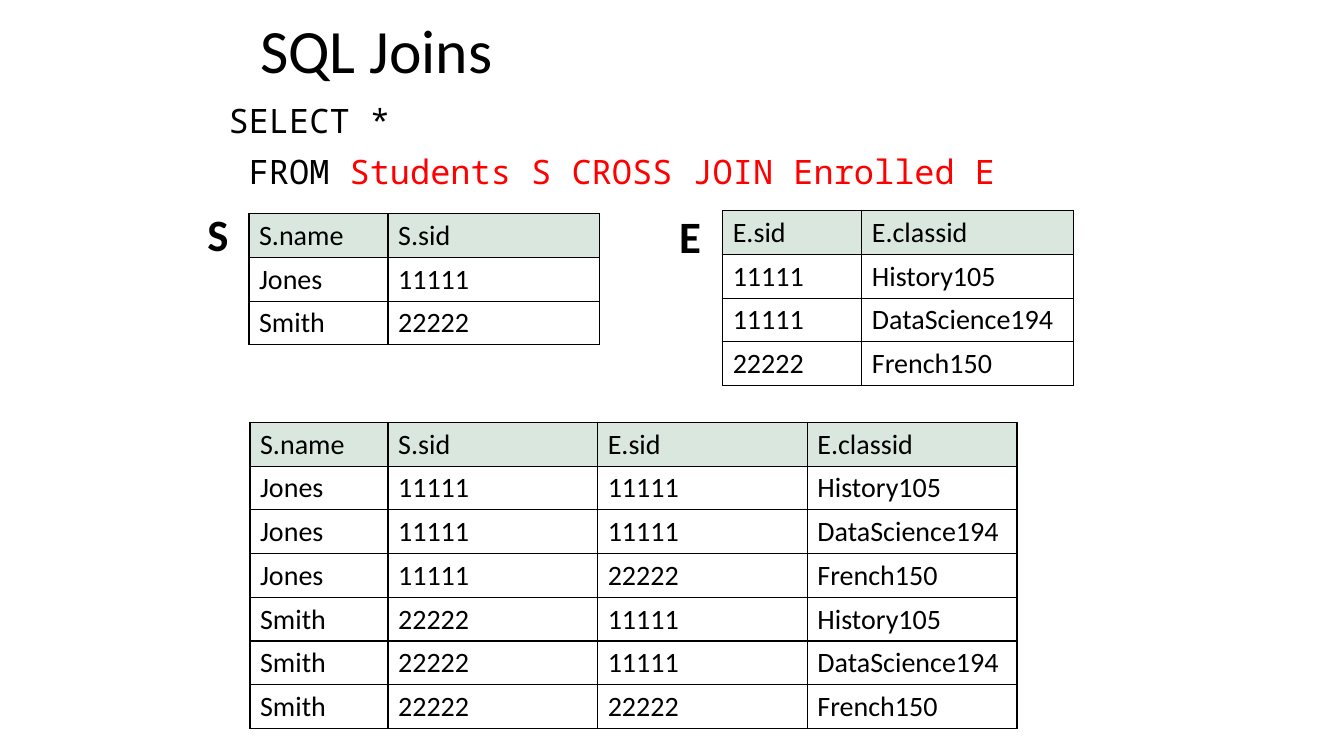
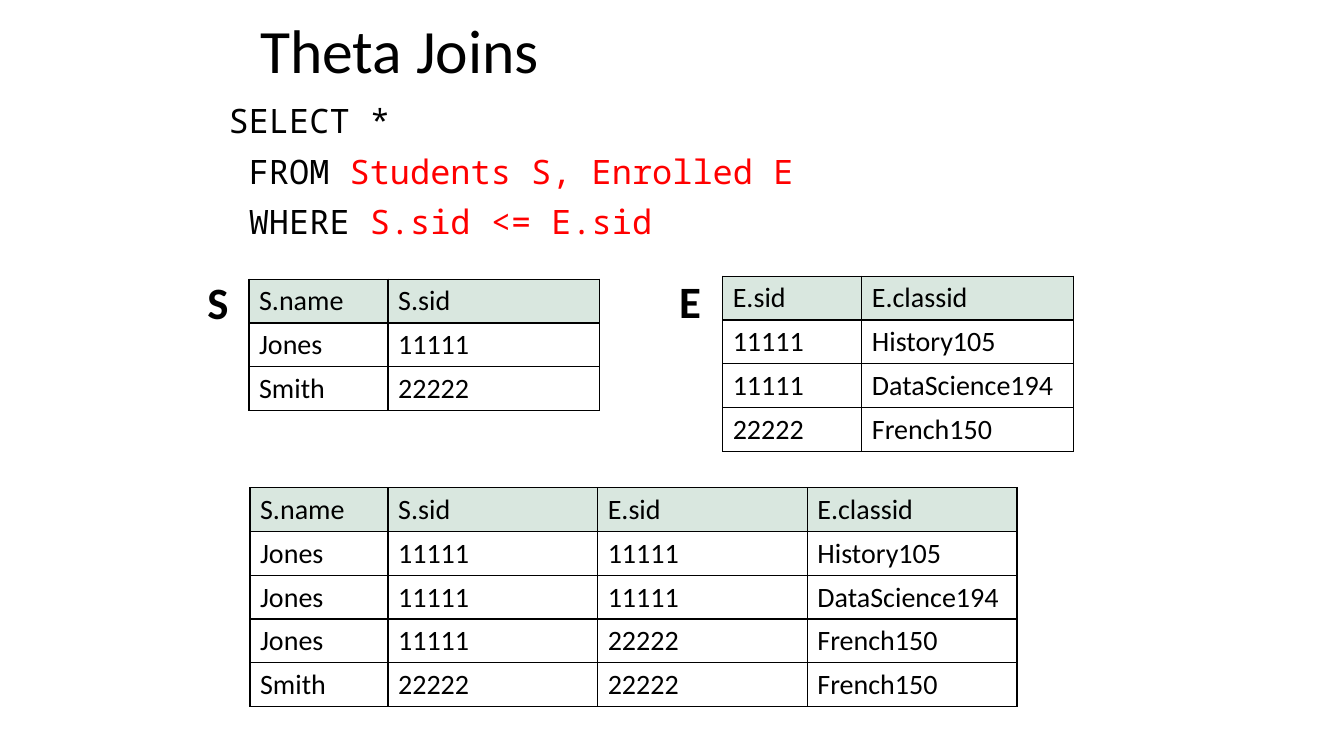
from dataclasses import dataclass
from itertools import product
from typing import Callable

from lxml.etree import SubElement
from pptx import Presentation
from pptx.dml.color import RGBColor
from pptx.enum.text import MSO_ANCHOR, MSO_AUTO_SIZE, PP_ALIGN
from pptx.oxml.ns import qn
from pptx.presentation import Presentation as Deck
from pptx.slide import Slide
from pptx.table import _Cell
from pptx.text.text import TextFrame, _Paragraph
from pptx.util import Inches, Pt

BLACK = RGBColor(0x00, 0x00, 0x00)
RED = RGBColor(0xFF, 0x00, 0x00)
HEADER_GREEN = RGBColor(0xD9, 0xE7, 0xDF)

TEXT_FONT = "Calibri"
CODE_FONT = "Noto Sans Mono"

GRID_COLUMNS = 80
GRID_ROWS = 45
SLIDE_WIDTH = Inches(13.33)
SLIDE_HEIGHT = Inches(7.5)
TABLE_ROW = 2.6
ENROLLED_RISE = 0.18
RESULT_DROP = 12.42
TITLE_ONLY_LAYOUT = 5

Row = tuple[str, ...]


@dataclass(frozen=True)
class Area:
    column: float
    row: float
    columns: float
    rows: float

    def lengths(self) -> tuple[int, int, int, int]:
        return (
            int(SLIDE_WIDTH * self.column / GRID_COLUMNS),
            int(SLIDE_HEIGHT * self.row / GRID_ROWS),
            int(SLIDE_WIDTH * self.columns / GRID_COLUMNS),
            int(SLIDE_HEIGHT * self.rows / GRID_ROWS),
        )


@dataclass(frozen=True)
class Span:
    text: str
    color: RGBColor = BLACK


@dataclass(frozen=True)
class Relation:
    header: Row
    records: tuple[Row, ...]


@dataclass(frozen=True)
class JoinPage:
    title: str
    query: tuple[tuple[Span, ...], ...]
    matches: Callable[[Row, Row], bool]
    tables_row: float
    students_label_row: float
    enrolled_label_row: float


TITLE_AREA = Area(14.88, 0.48, 50.88, 5.46)
QUERY_AREA = Area(13.02, 5.94, 55.14, 37.14)
SOURCE_WIDTHS = (8.28, 12.6)
RESULT_WIDTHS = (8.22, 12.48, 12.48, 12.48)

STUDENTS = Relation(("S.name", "S.sid"), (("Jones", "11111"), ("Smith", "22222")))
ENROLLED = Relation(
    ("E.sid", "E.classid"),
    (("11111", "History105"), ("11111", "DataScience194"), ("22222", "French150")),
)

PAGES = (
    JoinPage(
        "SQL Joins",
        (
            (Span("SELECT *"),),
            (Span(" FROM "), Span("Students S CROSS JOIN Enrolled E", RED)),
        ),
        lambda student, enrolment: True,
        12.72,
        12,
        12.12,
    ),
    JoinPage(
        "Theta Joins",
        (
            (Span("SELECT *"),),
            (Span(" FROM "), Span("Students S, Enrolled E", RED)),
            (Span(" WHERE "), Span("S.sid <= E.sid", RED)),
        ),
        lambda student, enrolment: student[1] <= enrolment[0],
        16.62,
        16.08,
        16.02,
    ),
)


def join(left: Relation, right: Relation, matches: Callable[[Row, Row], bool]) -> Relation:
    pairs = product(left.records, right.records)
    return Relation(
        left.header + right.header,
        tuple(first + second for first, second in pairs if matches(first, second)),
    )


def add_span(para: _Paragraph, span: Span, font: str, size: float, bold: bool = False) -> None:
    run = para.add_run()
    run.text = span.text
    run.font.name = font
    run.font.size = Pt(size)
    run.font.bold = bold
    run.font.color.rgb = span.color


def add_box(page: Slide, area: Area, wrap: bool) -> TextFrame:
    frame = page.shapes.add_textbox(*area.lengths()).text_frame
    frame.word_wrap = wrap
    return frame


def set_title(page: Slide, text: str) -> None:
    title = page.shapes.title
    title.left, title.top, title.width, title.height = TITLE_AREA.lengths()
    frame = title.text_frame
    frame.auto_size = MSO_AUTO_SIZE.NONE
    frame.vertical_anchor = MSO_ANCHOR.MIDDLE
    para = frame.paragraphs[0]
    para.alignment = PP_ALIGN.LEFT
    para.line_spacing = 0.9
    add_span(para, Span(text), TEXT_FONT, 44)


def add_query(page: Slide, lines: tuple[tuple[Span, ...], ...]) -> None:
    frame = add_box(page, QUERY_AREA, True)
    for index, spans in enumerate(lines):
        para = frame.add_paragraph() if index else frame.paragraphs[0]
        para.line_spacing = 0.9
        para.space_before = Pt(10)
        for span in spans:
            add_span(para, span, CODE_FONT, 24)


def add_label(page: Slide, text: str, column: float, row: float) -> None:
    frame = add_box(page, Area(column, row, 2.5, 3.84), False)
    frame.auto_size = MSO_AUTO_SIZE.SHAPE_TO_FIT_TEXT
    add_span(frame.paragraphs[0], Span(text), TEXT_FONT, 32, True)


def set_borders(cell: _Cell) -> None:
    properties = cell._tc.get_or_add_tcPr()
    for side in ("a:lnL", "a:lnR", "a:lnT", "a:lnB"):
        line = SubElement(properties, qn(side), w=str(Pt(1)))
        fill = SubElement(line, qn("a:solidFill"))
        SubElement(fill, qn("a:srgbClr"), val=str(BLACK))


def add_relation(
    page: Slide, relation: Relation, column: float, row: float, widths: tuple[float, ...]
) -> None:
    lines = (relation.header, *relation.records)
    area = Area(column, row, sum(widths), TABLE_ROW * len(lines))
    table = page.shapes.add_table(len(lines), len(widths), *area.lengths()).table
    table.first_row = False
    table.horz_banding = False
    for table_column, width in zip(table.columns, widths):
        table_column.width = int(SLIDE_WIDTH * width / GRID_COLUMNS)
    for row_index, line in enumerate(lines):
        for column_index, text in enumerate(line):
            cell = table.cell(row_index, column_index)
            set_borders(cell)
            if row_index == 0:
                cell.fill.solid()
                cell.fill.fore_color.rgb = HEADER_GREEN
            else:
                cell.fill.background()
            add_span(cell.text_frame.paragraphs[0], Span(text), TEXT_FONT, 20)


def add_join_page(deck: Deck, content: JoinPage) -> None:
    page = deck.slides.add_slide(deck.slide_layouts[TITLE_ONLY_LAYOUT])
    set_title(page, content.title)
    add_query(page, content.query)
    top = content.tables_row
    result = join(STUDENTS, ENROLLED, content.matches)
    add_relation(page, STUDENTS, 14.82, top, SOURCE_WIDTHS)
    add_relation(page, ENROLLED, 43.02, top - ENROLLED_RISE, SOURCE_WIDTHS)
    add_relation(page, result, 14.88, top + RESULT_DROP, RESULT_WIDTHS)
    add_label(page, "E", 39.84, content.enrolled_label_row)
    add_label(page, "S", 11.76, content.students_label_row)


def main() -> None:
    deck = Presentation()
    deck.slide_width = SLIDE_WIDTH
    deck.slide_height = SLIDE_HEIGHT
    for content in PAGES:
        add_join_page(deck, content)
    deck.save("out.pptx")


if __name__ == "__main__":
    main()
